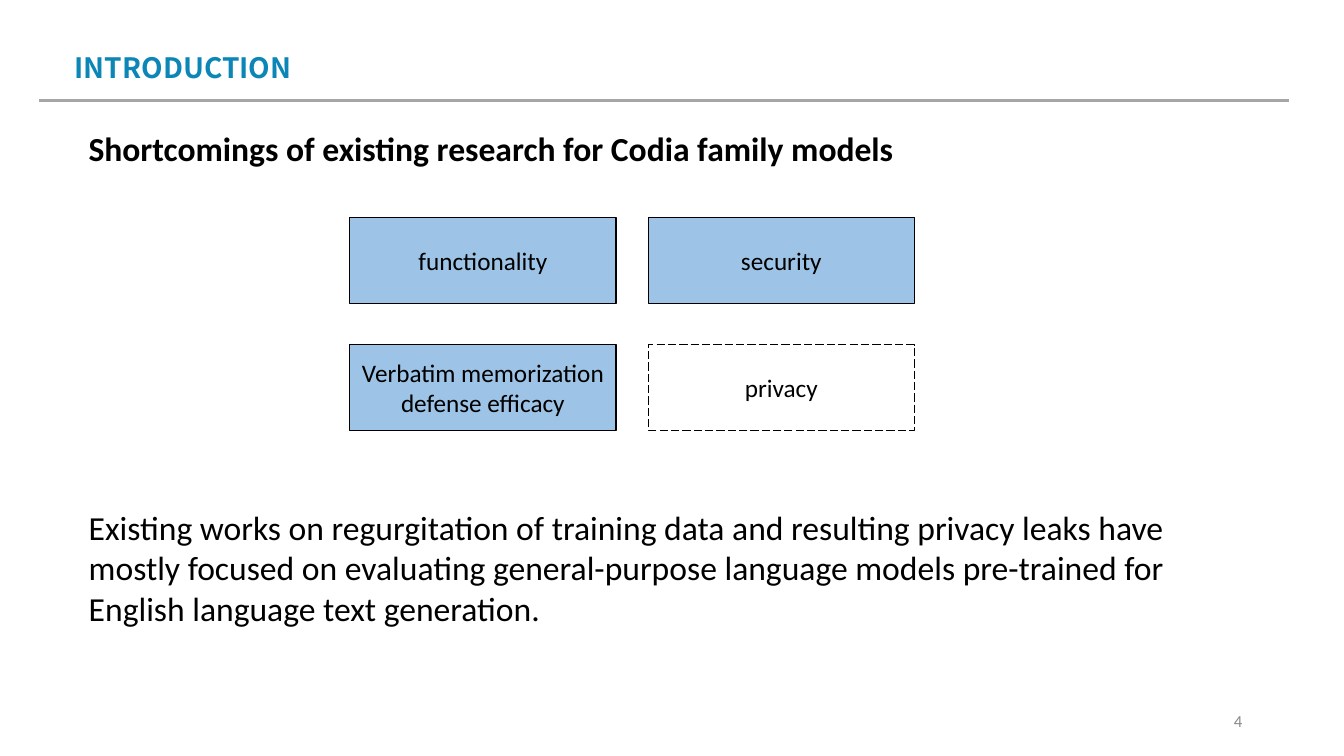
from lxml.etree import SubElement as Sub
from pptx import Presentation
from pptx.dml.color import RGBColor as RGB
from pptx.enum.dml import MSO_LINE as Dash
from pptx.enum.shapes import MSO_CONNECTOR as Link, MSO_SHAPE as Form
from pptx.enum.text import MSO_ANCHOR as Anchor, MSO_AUTO_SIZE as Fit, PP_ALIGN as Align
from pptx.oxml.ns import qn
from pptx.util import Inches as In, Pt

HEX = {"title": "0C86B6", "rule": "A6A6A6", "text": "000000",
       "box": "9DC3E6", "page": "898989"}
WIDE, HIGH = 13.33, 7.5
LEFT, TOP = 3.47, 2.16      # first box of the grid
COL, ROW = 2.96, 1.26       # grid steps
BOX = (2.64, 0.85)
TOPICS = [["functionality", "security"],
          ["Verbatim memorization defense efficacy", "privacy"]]


def tint(name):
    return RGB.from_string(HEX[name])


def place(shape, x, y, w, h):
    shape.left, shape.top, shape.width, shape.height = In(x), In(y), In(w), In(h)


def write(shape, text, size, color="text", bold=False, font="Calibri",
          align=Align.LEFT, anchor=Anchor.TOP):
    frame = shape.text_frame
    frame.word_wrap = True
    frame.auto_size = Fit.NONE
    frame.vertical_anchor = anchor
    para = frame.paragraphs[0]
    para.alignment = align
    para.space_before = Pt(0)
    run = para.add_run()
    run.text = text
    run.font.name, run.font.size, run.font.bold = font, Pt(size), bold
    run.font.color.rgb = tint(color)
    return para


def label(slide, spot, text, size, **look):
    box = slide.shapes.add_textbox(*map(In, spot))
    write(box, text, size, **look)


def rule(slide, x, y, end):
    line = slide.shapes.add_connector(Link.STRAIGHT, In(x), In(y), In(end), In(y))
    line.line.color.rgb = tint("rule")
    line.line.width = Pt(2.25)
    Sub(line._element.spPr, qn("a:effectLst"))


def topic(slide, col, row, text, gap):
    spot = (LEFT + col * COL, TOP + row * ROW, *BOX)
    box = slide.shapes.add_shape(Form.RECTANGLE, *map(In, spot))
    box.shadow.inherit = False
    box.line.color.rgb = tint("text")
    box.line.width = Pt(0.75)
    if gap:
        box.fill.background()
        box.line.dash_style = Dash.LONG_DASH
    else:
        box.fill.solid()
        box.fill.fore_color.rgb = tint("box")
    write(box, text, 18, align=Align.CENTER, anchor=Anchor.MIDDLE)


def main():
    deck = Presentation()
    deck.slide_width, deck.slide_height = In(WIDE), In(HIGH)
    slide = deck.slides.add_slide(deck.slide_layouts[1])
    title, body = slide.placeholders[0], slide.placeholders[1]

    # Heading and rule
    rule(slide, 0.39, 1, 12.78)
    place(title, 0.64, 0.45, 11.84, 0.44)
    write(title, "INTRODUCTION", 20, color="title", bold=True, font="Noto Sans CJK SC")
    label(slide, (0.78, 1.22, 10.27, 0.5),
          "Shortcomings of existing research for Codia family models", 24, bold=True)

    # Topic grid: the dashed box is the open topic
    for row, names in enumerate(TOPICS):
        for col, name in enumerate(names):
            topic(slide, col, row, name, gap=name == "privacy")

    # Closing statement, without a bullet
    place(body, 0.78, 4.98, 11.5, 1.31)
    para = write(body, "Existing works on regurgitation of training data and resulting "
                 "privacy leaks have mostly focused on evaluating general-purpose language "
                 "models pre-trained for English language text generation.", 24)
    props = para._p.get_or_add_pPr()
    props.set("marL", "0")
    props.set("indent", "0")
    Sub(props, qn("a:buNone"))

    # Page number
    label(slide, (9.42, 6.95, 3, 0.4), "4", 12, color="page",
          align=Align.RIGHT, anchor=Anchor.MIDDLE)

    deck.save("out.pptx")


if __name__ == "__main__":
    main()
